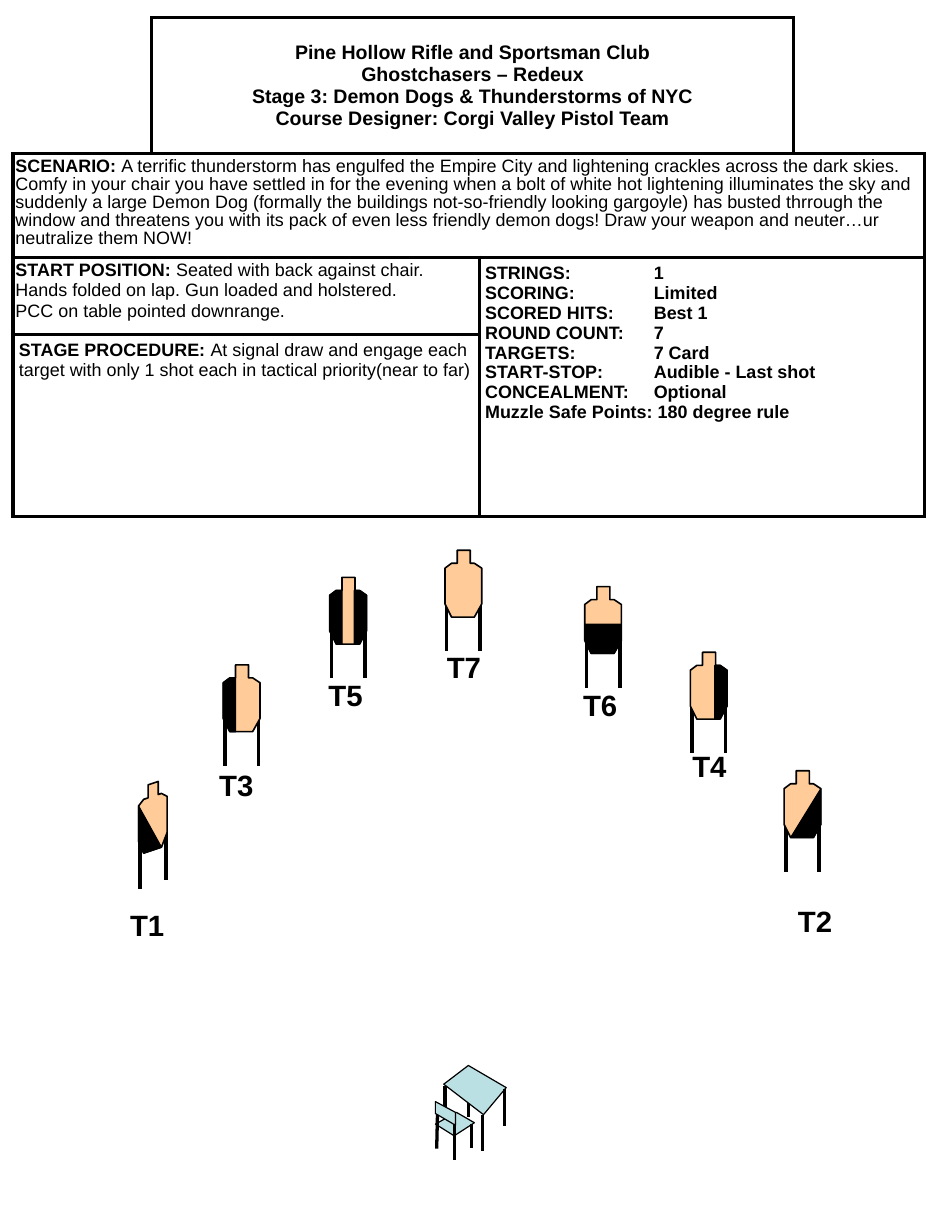
from dataclasses import dataclass
from typing import Any

from lxml import etree
from pptx import Presentation
from pptx.dml.color import RGBColor
from pptx.enum.shapes import MSO_CONNECTOR
from pptx.enum.text import MSO_ANCHOR, PP_ALIGN
from pptx.oxml.ns import qn
from pptx.util import Pt

STRAIGHT = MSO_CONNECTOR.STRAIGHT
MIDDLE, TOP = MSO_ANCHOR.MIDDLE, MSO_ANCHOR.TOP
CENTER, LEFT = PP_ALIGN.CENTER, PP_ALIGN.LEFT

Point = tuple[float, float]


@dataclass(frozen=True)
class Theme:
    font: str = "Arial"
    ink: str = "000000"
    paper: str = "FFFFFF"
    tan: str = "FFCC99"
    teal: str = "BBE0E3"
    title: float = 12
    body: float = 11
    label: float = 18
    rule: float = 2.25


THEME = Theme()


@dataclass
class Block:
    """Text of one table cell; each line is a bold lead and a plain rest."""
    start: Point
    end: Point
    lines: list[tuple[str, str]]
    pad: Point
    size: float = THEME.body
    anchor: Any = TOP
    align: Any = LEFT
    tab: float = 0
    gap: float = 0
    pitch: float = 1


@dataclass
class Target:
    name: str
    spot: Point
    label: Point
    masks: list[list[Point]]
    wide: float = 1
    tilt: float = 0


@dataclass
class Leg:
    start: Point
    end: Point
    width: float = 2


@dataclass
class Panel:
    points: list[Point]
    fill: str = THEME.teal
    width: float = 0.75


# Text helpers
def write(para: Any, text: str, size: float, bold: bool) -> None:
    run = para.add_run()
    run.text = text
    form = {"name": THEME.font, "size": Pt(size), "bold": bold}
    for key, value in form.items():
        setattr(run.font, key, value)
    run.font.color.rgb = RGBColor.from_string(THEME.ink)


# Line and outline helpers
def draw_leg(shapes: Any, leg: Leg) -> None:
    ends = [Pt(n) for n in (*leg.start, *leg.end)]
    line = shapes.add_connector(STRAIGHT, *ends)
    line.line.color.rgb = RGBColor.from_string(THEME.ink)
    line.line.width = Pt(leg.width)
    etree.SubElement(line._element.spPr, qn("a:effectLst"))


def draw_panel(shapes: Any, panel: Panel) -> None:
    dots = [(Pt(x), Pt(y)) for x, y in panel.points]
    pen = shapes.build_freeform(*dots[0])
    pen.add_line_segments(dots[1:], close=True)
    shape = pen.convert_to_shape()
    shape.shadow.inherit = False
    shape.fill.solid()
    shape.fill.fore_color.rgb = RGBColor.from_string(panel.fill)
    shape.line.color.rgb = RGBColor.from_string(THEME.ink)
    shape.line.width = Pt(panel.width)


# Table helpers
def frame(cell: Any, sides: str) -> None:
    props = cell._tc.get_or_add_tcPr()
    for side in "LRTB":
        line = etree.SubElement(props, qn(f"a:ln{side}"))
        if side in sides:
            line.set("w", str(Pt(THEME.rule)))
            fill = etree.SubElement(line, qn("a:solidFill"))
            etree.SubElement(fill, qn("a:srgbClr"), val=THEME.ink)
        else:
            etree.SubElement(line, qn("a:noFill"))
    cell.fill.solid()
    cell.fill.fore_color.rgb = RGBColor.from_string(THEME.paper)


def fill_block(table: Any, block: Block) -> None:
    cell = table.cell(*block.start)
    cell.merge(table.cell(*block.end))
    side, edge = (Pt(n) for n in block.pad)
    form = {"margin_left": side, "margin_right": side, "margin_top": edge,
            "margin_bottom": edge, "vertical_anchor": block.anchor}
    for key, value in form.items():
        setattr(cell, key, value)
    for i, (lead, rest) in enumerate(block.lines):
        text = cell.text_frame
        para = text.add_paragraph() if i else text.paragraphs[0]
        if block.tab:
            tabs = etree.SubElement(para._p.get_or_add_pPr(), qn("a:tabLst"))
            etree.SubElement(tabs, qn("a:tab"), pos=str(Pt(block.tab)), algn="l")
        para.alignment = block.align
        para.line_spacing = block.pitch
        if i and block.gap:
            para.space_before = Pt(block.gap)
        for words, bold in ((lead, True), (rest, False)):
            if words:
                write(para, words, block.size, bold)


def draw_table(shapes: Any, blocks: list[Block]) -> None:
    cols, rows = (85, 201, 193, 80), (83.5, 63.5, 47.5, 111.5)
    table = shapes.add_table(len(rows), len(cols), Pt(8), Pt(10.8),
                             Pt(sum(cols)), Pt(sum(rows))).table
    table.first_row = table.horz_banding = False
    for parts, sizes, key in ((table.columns, cols, "width"), (table.rows, rows, "height")):
        for part, size in zip(parts, sizes):
            setattr(part, key, Pt(size))
    bare = {(0, 0): "RB", (0, 3): "LB"}
    for r in range(len(rows)):
        for c in range(len(cols)):
            frame(table.cell(r, c), bare.get((r, c), "LRTB"))
    for block in blocks:
        fill_block(table, block)


# Target helpers
BODY = [(7.5, 0), (15.5, 0), (15.5, 8), (18, 8), (22.5, 11), (22.5, 33),
        (18, 41), (4, 41), (0, 33), (0, 11), (4, 8), (7.5, 8)]
WEST = [(7.5, 8), (7.5, 41), (4, 41), (0, 33), (0, 11), (4, 8)]
EAST = [(22.5 - x, y) for x, y in WEST]
LOW = [(0, 23), (22.5, 23), (22.5, 33), (18, 41), (4, 41), (0, 33)]
SLANT = [(22.5, 11), (22.5, 33), (18, 41), (4, 41)]
BACK = [(0, 11), (0, 33), (4, 41), (18, 41)]


def draw_target(shapes: Any, item: Target) -> None:
    def place(points: list[Point]) -> list[Point]:
        left, top = item.spot
        return [(left + x * item.wide, top + y - x * item.tilt) for x, y in points]

    group = shapes.add_group_shape().shapes
    for x in (1, 21.5):
        draw_leg(group, Leg(*place([(x, 30.5), (x, 62)]), width=THEME.rule))
    draw_panel(group, Panel(place(BODY), THEME.tan, 1))
    for mask in item.masks:
        draw_panel(group, Panel(place(mask), THEME.ink, 0))


def draw_label(shapes: Any, item: Target) -> None:
    box = shapes.add_textbox(*(Pt(n) for n in (*item.label, 42, 29)))
    box.text_frame.word_wrap = True
    write(box.text_frame.paragraphs[0], item.name, THEME.label, True)


# Content
BLOCKS = [
    Block((0, 1), (0, 2), [
        ("Pine Hollow Rifle and Sportsman Club", ""), ("Ghostchasers – Redeux", ""),
        ("Stage 3: Demon Dogs & Thunderstorms of NYC", ""),
        ("Course Designer: Corgi Valley Pistol Team", "")],
        (3.6, 3.6), THEME.title, MIDDLE, CENTER),
    Block((1, 0), (1, 3), [("SCENARIO: ", (
        "A terrific thunderstorm has engulfed the Empire City and lightening crackles "
        "across the dark skies. Comfy in your chair you have settled in for the evening "
        "when a bolt of white hot lightening illuminates the sky and suddenly a large "
        "Demon Dog (formally the buildings not-so-friendly looking gargoyle) has busted "
        "thrrough the window and threatens you with its pack of even less friendly demon "
        "dogs! Draw your weapon and neuter…ur neutralize them NOW!"))], (1.5, 3), pitch=0.9),
    Block((2, 0), (2, 1), [
        ("START POSITION: ", "Seated with back against chair. Hands folded on lap. "
                             "Gun loaded and holstered."),
        ("", "PCC on table pointed downrange.")], (1.5, 2), gap=0.55),
    Block((2, 2), (3, 3), [
        ("STRINGS:\t1", ""), ("SCORING:\tLimited", ""), ("SCORED HITS:\tBest 1", ""),
        ("ROUND COUNT:\t7", ""), ("TARGETS:\t7 Card", ""),
        ("START-STOP:\tAudible - Last shot", ""), ("CONCEALMENT:\tOptional", ""),
        ("Muzzle Safe Points: 180 degree rule", "")], (3.6, 3.6), tab=103.5),
    Block((3, 0), (3, 1), [("STAGE PROCEDURE: ", (
        "At signal draw and engage each target with only 1 shot each in tactical "
        "priority(near to far)"))], (3.6, 3.6)),
]
TARGETS = [
    Target("T1", (85, 483.6), (72.7, 553), [BACK], 0.78, 0.26),
    Target("T2", (481, 473), (482.4, 550.8), [SLANT]),
    Target("T3", (137, 408), (127.4, 467.3), [WEST]),
    Target("T4", (423.5, 400.3), (417.6, 455.8), [EAST]),
    Target("T5", (202.3, 354.3), (194.4, 411.8), [EAST, WEST]),
    Target("T6", (358.7, 360), (350.6, 418.3), [LOW]),
    Target("T7", (273, 337.7), (267, 394.6), []),
]
DESK = [  # table and chair, back to front
    Leg((273, 666.7), (273, 689)), Leg((287.3, 656.6), (287.3, 685.4)),
    Panel([(310.5, 667.4), (296.6, 684), (272.2, 665.3), (287.3, 653.8)]),
    Leg((296, 684), (296, 706.3)), Leg((309.6, 668.2), (309.6, 691.2)),
    Panel([(291, 689), (278.6, 697), (267.1, 689.8), (280, 682.6)]),
    Leg((278.6, 684), (278.6, 712)), Leg((289.4, 689.8), (289.4, 704.2)),
    Leg((268.5, 677.5), (267.9, 704.9)),
    Panel([(279.4, 682.6), (267.1, 676), (267.1, 683.3), (279.4, 690.5)]),
]


def main() -> None:
    deck = Presentation()
    deck.slide_width, deck.slide_height = Pt(576), Pt(756)
    shapes = deck.slides.add_slide(deck.slide_layouts[6]).shapes
    draw_table(shapes, BLOCKS)
    for draw in (draw_label, draw_target):
        for item in TARGETS:
            draw(shapes, item)
    group = shapes.add_group_shape().shapes
    for part in DESK:
        (draw_leg if isinstance(part, Leg) else draw_panel)(group, part)
    deck.save("out.pptx")


if __name__ == "__main__":
    main()
